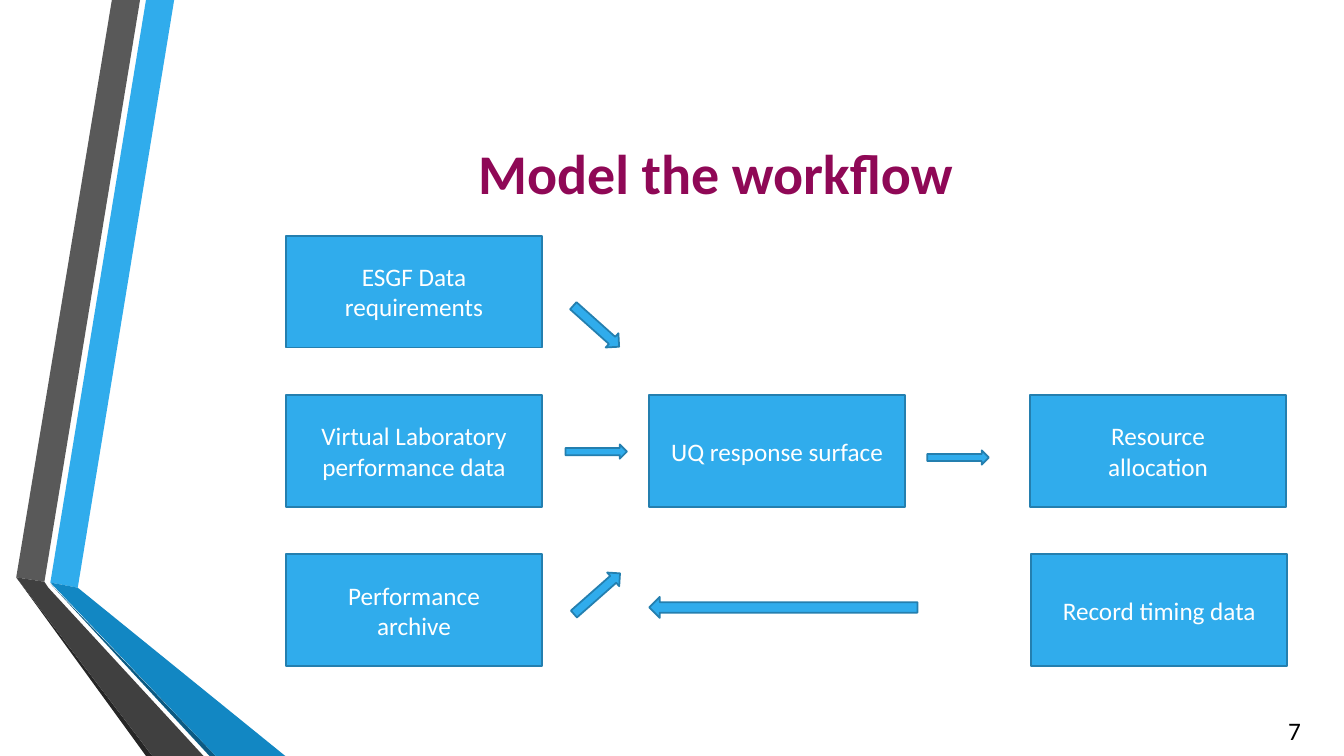
import dataclasses

import pptx
import pptx.dml.color
import pptx.enum.shapes
import pptx.enum.text
import pptx.util

Cm = pptx.util.Cm
Align = pptx.enum.text.PP_ALIGN
Anchor = pptx.enum.text.MSO_ANCHOR
ShapeKind = pptx.enum.shapes.MSO_SHAPE


@dataclasses.dataclass(frozen=True)
class Theme:
    font: str = "Calibri"
    title_size: int = 40
    text_size: int = 18
    title: str = "8F0856"
    box_text: str = "FFFFFF"
    number: str = "000000"
    blue: str = "30ACEC"
    outline: str = "247FAF"
    blue_dark: str = "1287C3"
    blue_edge: str = "0C5A82"
    gray: str = "595959"
    gray_dark: str = "404040"
    gray_edge: str = "262626"
    outline_width: float = 1.25


THEME = Theme()

# Slide and workflow grid, in centimetres
SLIDE_WIDTH, SLIDE_HEIGHT = 33.87, 19.05
BOX_WIDTH, BOX_HEIGHT = 6.45, 2.82
SOURCE_LEFT, SURFACE_LEFT, RESULT_LEFT = 7.21, 16.36, 25.96
ROW_TOPS = [5.94 + 4.015 * row for row in range(3)]
ARROW_LENGTH = 1.55

# Side ribbons: colour and corner points
RIBBONS = [
    (THEME.blue, [(1.27, 14.68), (1.96, 14.81), (4.39, 0), (3.68, 0)]),
    (THEME.gray, [(3.53, 0), (2.82, 0), (0.41, 14.55), (1.12, 14.66)]),
    (THEME.gray_edge, [(0.41, 14.55), (3.68, SLIDE_HEIGHT), (3.84, SLIDE_HEIGHT)]),
    (THEME.blue_edge, [(1.27, 14.71), (5.28, SLIDE_HEIGHT), (5.44, SLIDE_HEIGHT)]),
    (THEME.blue_dark, [(1.27, 14.68), (5.44, SLIDE_HEIGHT),
                       (7.19, SLIDE_HEIGHT), (1.96, 14.81)]),
    (THEME.gray_dark, [(5.13, SLIDE_HEIGHT), (1.22, 14.81), (1.12, 14.66),
                       (0.41, 14.55), (3.84, SLIDE_HEIGHT)]),
]

# Workflow steps: left, top, text
STEPS = [
    (SOURCE_LEFT, ROW_TOPS[0], "ESGF Data requirements"),
    (SOURCE_LEFT, ROW_TOPS[1], "Virtual Laboratory\nperformance data"),
    (SOURCE_LEFT, ROW_TOPS[2], "Performance\narchive"),
    (SURFACE_LEFT, ROW_TOPS[1], "UQ response surface"),
    (RESULT_LEFT + 0.03, ROW_TOPS[2], "Record timing data"),
    (RESULT_LEFT, ROW_TOPS[1], "Resource\nallocation"),
]

# Block arrows: left, top, length, thickness, rotation
ARROWS = [
    (14.25, 11.2, ARROW_LENGTH, 0.36, 0),
    (14.25, 7.98, ARROW_LENGTH, 0.48, 41.8),
    (14.27, 14.73, ARROW_LENGTH, 0.46, 318.6),
    (SURFACE_LEFT, 15.04, 6.76, 0.53, 180),
    (23.37, 11.35, ARROW_LENGTH, 0.36, 0),
]


def rgb(value):
    return pptx.dml.color.RGBColor.from_string(value)


def write_text(shape, text, *, color, size=THEME.text_size, bold=False,
               align=Align.CENTER, anchor=Anchor.MIDDLE):
    frame = shape.text_frame
    frame.text = text
    frame.word_wrap = True
    frame.auto_size = pptx.enum.text.MSO_AUTO_SIZE.NONE
    frame.vertical_anchor = anchor
    for paragraph in frame.paragraphs:
        paragraph.alignment = align
        for run in paragraph.runs:
            run.font.name = THEME.font
            run.font.size = pptx.util.Pt(size)
            run.font.bold = bold
            run.font.color.rgb = rgb(color)


def paint(shape, fill, outline=None):
    shape.shadow.inherit = False
    shape.fill.solid()
    shape.fill.fore_color.rgb = rgb(fill)
    if outline:
        shape.line.color.rgb = rgb(outline)
        shape.line.width = pptx.util.Pt(THEME.outline_width)
    else:
        shape.line.fill.background()


def add_ribbon(slide, color, points):
    corners = [(Cm(x), Cm(y)) for x, y in points]
    builder = slide.shapes.build_freeform(*corners[0])
    builder.add_line_segments(corners[1:], close=True)
    paint(builder.convert_to_shape(), color)


def add_block(slide, kind, left, top, width, height):
    shape = slide.shapes.add_shape(kind, Cm(left), Cm(top), Cm(width), Cm(height))
    paint(shape, THEME.blue, THEME.outline)
    return shape


def add_step(slide, left, top, text):
    box = add_block(slide, ShapeKind.RECTANGLE, left, top, BOX_WIDTH, BOX_HEIGHT)
    write_text(box, text, color=THEME.box_text)


def add_arrow(slide, left, top, length, thickness, rotation):
    arrow = add_block(slide, ShapeKind.RIGHT_ARROW, left, top, length, thickness)
    arrow.rotation = rotation


def set_title(slide, text):
    title = slide.shapes.title
    title.left, title.top = Cm(4.11), Cm(1.9)
    title.width, title.height = Cm(27.84), Cm(4.88)
    write_text(title, text, color=THEME.title, size=THEME.title_size, bold=True)


def add_page_number(slide, text):
    box = slide.shapes.add_textbox(Cm(32.21), Cm(17.91), Cm(1.52), Cm(1.02))
    write_text(box, text, color=THEME.number, align=Align.LEFT, anchor=Anchor.TOP)


def main():
    presentation = pptx.Presentation()
    presentation.slide_width = Cm(SLIDE_WIDTH)
    presentation.slide_height = Cm(SLIDE_HEIGHT)
    title_only = presentation.slide_layouts.get_by_name("Title Only")
    slide = presentation.slides.add_slide(title_only)

    # Background decoration and page number
    for ribbon in RIBBONS:
        add_ribbon(slide, *ribbon)
    add_page_number(slide, "7")

    # Workflow diagram
    set_title(slide, "Model the workflow")
    for step in STEPS:
        add_step(slide, *step)
    for arrow in ARROWS:
        add_arrow(slide, *arrow)

    presentation.save("out.pptx")


if __name__ == "__main__":
    main()
